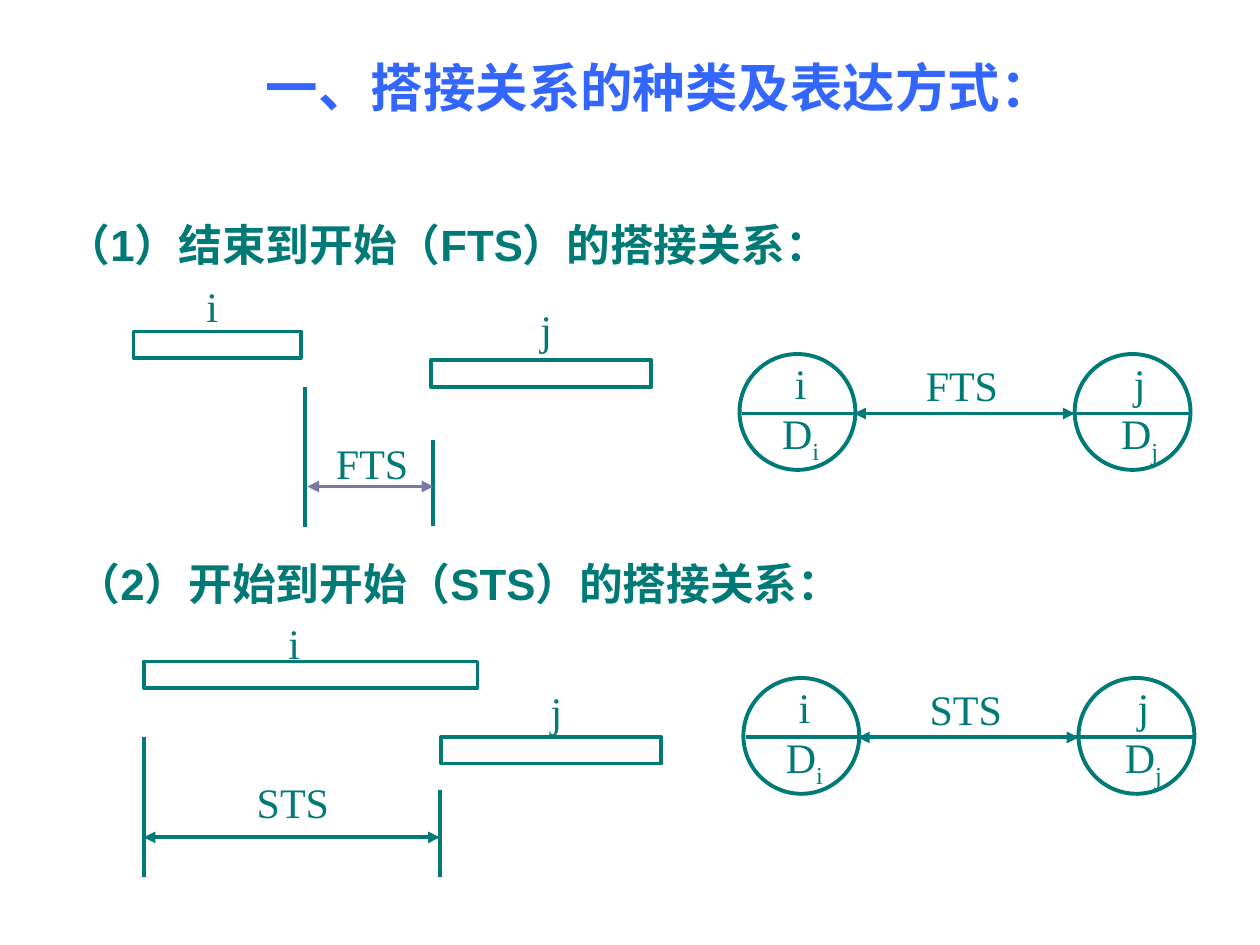
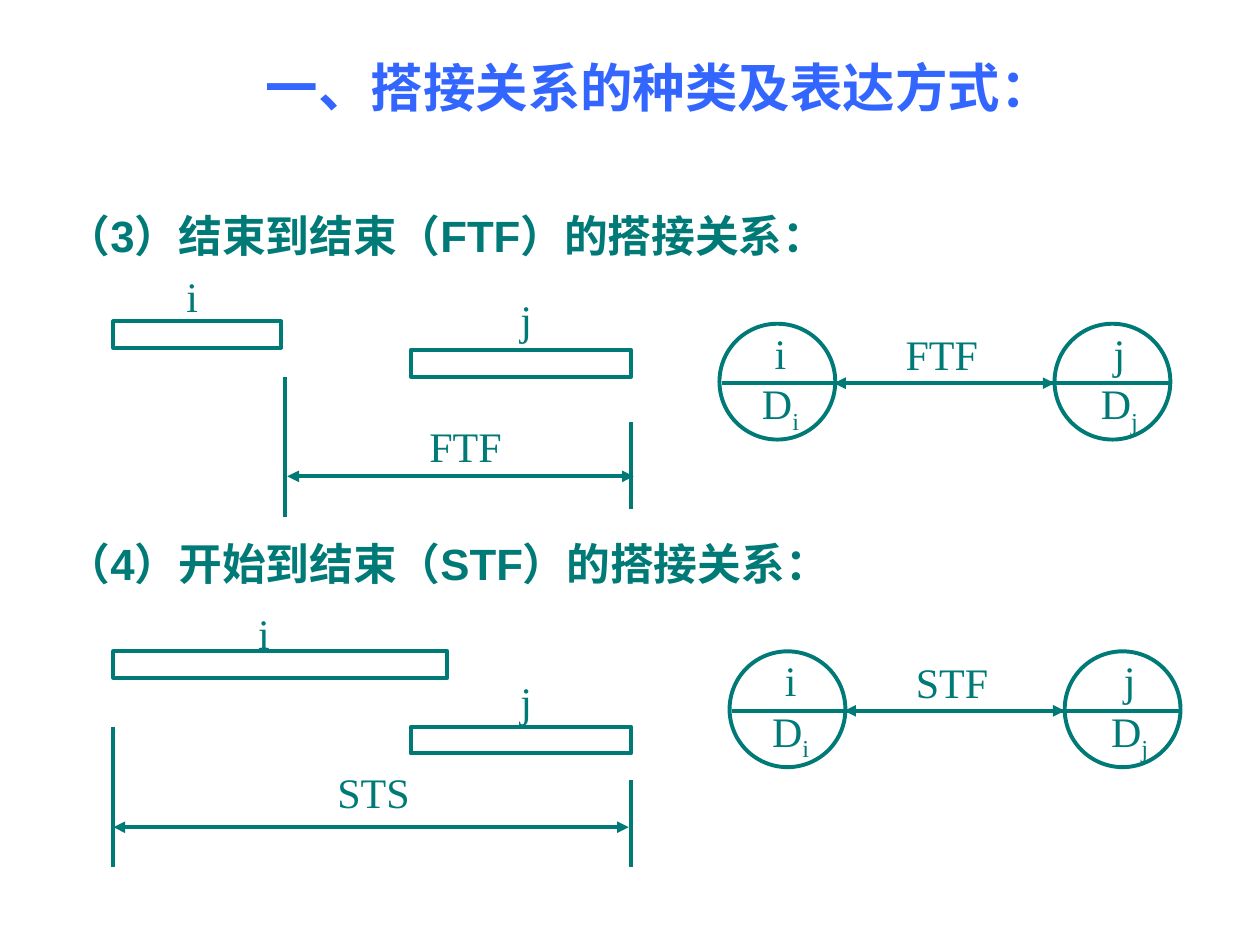
from dataclasses import dataclass
from typing import Union

from lxml import etree
from pptx import Presentation
from pptx import util as u
from pptx.dml.color import RGBColor
from pptx.enum import shapes as kinds, text
from pptx.oxml import ns
from pptx.shapes import shapetree as tree
from pptx.slide import Slide

Pt = u.Pt
Shapes = Union[tree.SlideShapes, tree.GroupShapes]


# Theme: colours, fonts and sizes
@dataclass(frozen=True)
class Theme:
    title_color: str = "3366FF"
    ink: str = "007A77"
    muted: str = "7979A5"
    heading_font: str = "Arial"
    body_font: str = "Times New Roman"
    title_size: float = 30
    heading_size: float = 25
    label_size: float = 24
    line_width: float = 2.25


THEME = Theme()
TITLE = "一、搭接关系的种类及表达方式："
BAR_HEIGHT = 15.1
SUCCESSOR_WIDTH = 126
SUCCESSOR_SHIFT = 169.9
CIRCLE = 66.2
CIRCLE_STEP = 191.5
NODE_TEXT_WIDTH = 50


# Offsets measured from the top left of the predecessor's bar
@dataclass(frozen=True)
class BarStyle:
    width: float
    label_x: float
    label_rise: float
    successor_drop: float
    successor_label_rise: float
    guide_x: float
    guide_drop: float
    arrow_gap: float
    arrow_drop: float


FROM_FINISH = BarStyle(95.8, 34.6, 32.4, 16.5, 36, 97.9, 31.7, 1.5, 88.6)
FROM_START = BarStyle(190.8, 75.6, 28.8, 43.2, 33, 0, 43.2, 0, 100.5)


@dataclass(frozen=True)
class Relation:
    heading: str
    heading_box: tuple[float, float, float, float]
    link: str
    network: tuple[float, float]
    bars: tuple[float, float]
    style: BarStyle
    guide_j: tuple[float, float]
    arrow_end: float
    lag: str
    lag_at: tuple[float, float]
    lag_color: str = THEME.ink


SLIDES = [
    [
        Relation("（1）结束到开始（FTS）的搭接关系：", (31, 122.4, 510.5, 33.8), "FTS",
                 (422.6, 202.3), (76.3, 189.4), FROM_FINISH,
                 (247.7, 251.3), 247.7, "FTS", (181.4, 247), THEME.muted),
        Relation("（2）开始到开始（STS）的搭接关系：", (36.7, 315.4, 504.7, 36), "STS",
                 (424.8, 387.4), (82.1, 378), FROM_START,
                 (251.3, 451.4), 251.3, "STS", (136.1, 440.6)),
    ],
    [
        Relation("（3）结束到结束（FTF）的搭接关系：", (31, 116.6, 499, 36), "FTF",
                 (411.1, 185), (64.8, 183.6), FROM_FINISH,
                 (360.7, 241.2), 362.2, "FTF", (234.7, 237.6)),
        Relation("（4）开始到结束（STF）的搭接关系：", (31, 303.8, 481.7, 36), "STF",
                 (416.9, 372.2), (64.8, 372.2), FROM_START,
                 (360.7, 445.7), 359.3, "STS", (182.2, 434.9)),
    ],
]


# Drawing helpers
def add_text(shapes: Shapes, content: str, left: float, top: float, width: float,
             height: float, *, size: float = THEME.label_size, font: str = THEME.body_font,
             color: str = THEME.ink, bold: bool = False, centered: bool = True,
             grow: bool = False) -> None:
    """Draw text; each line is a paragraph and "_" starts a subscript."""
    frame = shapes.add_textbox(Pt(left), Pt(top), Pt(width), Pt(height)).text_frame
    frame.word_wrap = False
    if grow:
        frame.auto_size = text.MSO_AUTO_SIZE.SHAPE_TO_FIT_TEXT
    else:
        frame.vertical_anchor = text.MSO_ANCHOR.MIDDLE
    for number, line in enumerate(content.split("\n")):
        paragraph = frame.add_paragraph() if number else frame.paragraphs[0]
        paragraph.alignment = text.PP_ALIGN.CENTER if centered else text.PP_ALIGN.LEFT
        for position, part in enumerate(line.split("_")):
            run = paragraph.add_run()
            run.text = part
            run.font.size = Pt(size)
            run.font.name = font
            run.font.bold = bold
            run.font.color.rgb = RGBColor.from_string(color)
            if position:
                run.font._element.set("baseline", "-25000")


def add_outline(shapes: Shapes, preset: kinds.MSO_SHAPE, left: float, top: float,
                width: float, height: float) -> None:
    shape = shapes.add_shape(preset, Pt(left), Pt(top), Pt(width), Pt(height))
    shape.shadow.inherit = False
    shape.fill.background()
    shape.line.color.rgb = RGBColor.from_string(THEME.ink)
    shape.line.width = Pt(THEME.line_width)


def add_line(shapes: Shapes, x1: float, y1: float, x2: float, y2: float, *,
             color: str = THEME.ink, arrows: bool = False) -> None:
    connector = shapes.add_connector(kinds.MSO_CONNECTOR.STRAIGHT,
                                     Pt(x1), Pt(y1), Pt(x2), Pt(y2))
    connector.line.color.rgb = RGBColor.from_string(color)
    connector.line.width = Pt(THEME.line_width)
    if arrows:
        outline = connector.line._get_or_add_ln()
        for end in ("a:headEnd", "a:tailEnd"):
            etree.SubElement(outline, ns.qn(end), type="triangle")
    etree.SubElement(connector._element.spPr, ns.qn("a:effectLst"))


# Two nodes joined by the lag arrow
def draw_network(shapes: Shapes, relation: Relation) -> None:
    left, top = relation.network
    middle = top + 34
    for name, x, text_center in (("i", left, 34.9), ("j", left + CIRCLE_STEP, 37.1)):
        add_outline(shapes, kinds.MSO_SHAPE.OVAL, x, top, CIRCLE, CIRCLE)
        add_text(shapes, f"{name}\nD_{name}", x + text_center - NODE_TEXT_WIDTH / 2,
                 top + 2.9, NODE_TEXT_WIDTH, 59.8)
    add_line(shapes, left + 1.4, middle, left + CIRCLE_STEP + CIRCLE, middle)
    add_line(shapes, left + 65.5, middle, left + CIRCLE_STEP, middle, arrows=True)
    add_text(shapes, relation.link, left + 95.8, top, 62.6, 34.6)


# Bars of both activities, with guides and the lag between them
def draw_bars(shapes: Shapes, relation: Relation) -> None:
    style = relation.style
    left, top = relation.bars
    next_left, next_top = left + SUCCESSOR_SHIFT, top + style.successor_drop
    for name, x, y, width, label_x, rise in (
            ("i", left, top, style.width, style.label_x, style.label_rise),
            ("j", next_left, next_top, SUCCESSOR_WIDTH, 55.5, style.successor_label_rise)):
        add_outline(shapes, kinds.MSO_SHAPE.RECTANGLE, x, y, width, BAR_HEIGHT)
        add_text(shapes, name, x + label_x, y - rise, 20.9, 36, centered=False, grow=True)

    guide_x, guide_top = left + style.guide_x, top + style.guide_drop
    arrow_y = top + style.arrow_drop
    end_x, end_top = relation.guide_j
    add_line(shapes, guide_x, guide_top, guide_x, guide_top + 79.9)
    add_line(shapes, end_x, end_top, end_x, end_top + 49.5)
    add_line(shapes, guide_x + style.arrow_gap, arrow_y, relation.arrow_end, arrow_y,
             color=relation.lag_color, arrows=True)
    add_text(shapes, relation.lag, *relation.lag_at, 62.6, 34.6)


def draw_slide(slide: Slide, relations: list[Relation]) -> None:
    add_text(slide.shapes, TITLE, 144.7, 31.7, 504, 36, size=THEME.title_size,
             color=THEME.title_color, bold=True, centered=False)
    for relation in relations:
        add_text(slide.shapes, relation.heading, *relation.heading_box,
                 size=THEME.heading_size, font=THEME.heading_font, bold=True, centered=False)
        for draw in (draw_network, draw_bars):
            draw(slide.shapes.add_group_shape().shapes, relation)


def main() -> None:
    presentation = Presentation()
    presentation.slide_width, presentation.slide_height = Pt(720), Pt(540)
    for relations in SLIDES:
        draw_slide(presentation.slides.add_slide(presentation.slide_layouts[6]), relations)
    presentation.save("out.pptx")


if __name__ == "__main__":
    main()
